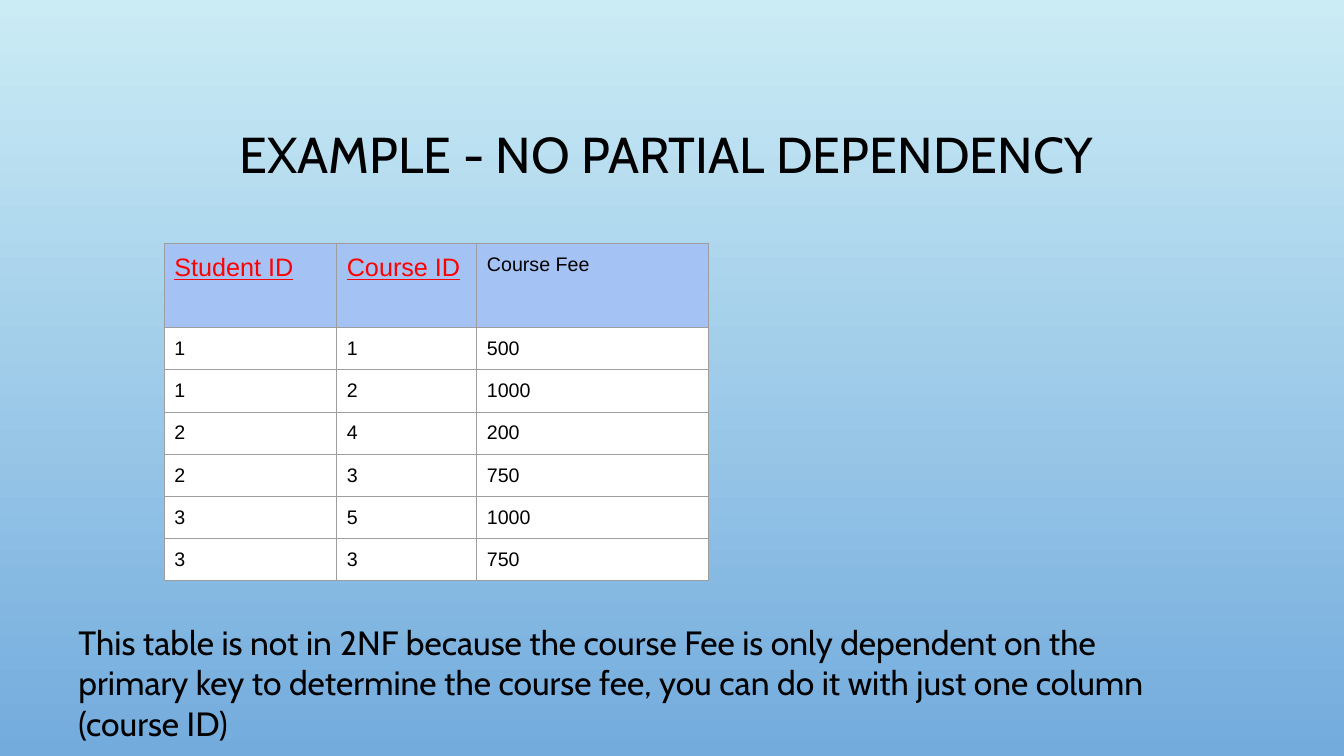
import pptx
import pptx.util
import pptx.dml.color
import pptx.enum.text
import pptx.oxml
import pptx.oxml.ns

Inches, Pt = pptx.util.Inches, pptx.util.Pt
WIDTH, HEIGHT = 13.33, 7.5
COLORS = {
    "sky": "CBECF5", "sea": "73ABDD", "ink": "000000", "key": "FF0000",
    "head": "A4C2F4", "cell": "FFFFFF", "rule": "9E9E9E",
}
HEADS = ["Student ID", "Course ID", "Course Fee"]
KEYS = HEADS[:2]
ROWS = [(1, 1, 500), (1, 2, 1000), (2, 4, 200), (2, 3, 750), (3, 5, 1000), (3, 3, 750)]
COLS = [1.71, 1.39, 2.3]
HEAD, ROW, PAD = 0.83, 0.41, 0.1


def color(name):
    return pptx.dml.color.RGBColor.from_string(COLORS[name])


def write(frame, text, size, font="Cabin", ink="ink", line=False, align=None, space=None):
    frame.word_wrap = True
    par = frame.paragraphs[0]
    par.alignment, par.line_spacing = align, space
    run = par.add_run()
    run.text = text
    run.font.name, run.font.size, run.font.underline = font, Pt(size), line
    run.font.color.rgb = color(ink)


def paint(slide):
    fill = slide.background.fill
    fill.gradient()
    fill.gradient_angle = 270
    for stop, name in zip(fill.gradient_stops, ("sky", "sea")):
        stop.color.rgb = color(name)


def title(slide, box, text):
    shape = slide.shapes.title
    shape.left, shape.top, shape.width, shape.height = map(Inches, box)
    shape.text_frame.vertical_anchor = pptx.enum.text.MSO_ANCHOR.MIDDLE
    write(shape.text_frame, text, 36, align=pptx.enum.text.PP_ALIGN.CENTER, space=0.9)


def border(cell):
    props = cell._tc.get_or_add_tcPr()
    for place, side in enumerate(("lnL", "lnR", "lnT", "lnB")):
        props.insert(place, pptx.oxml.parse_xml(
            f'<a:{side} {pptx.oxml.ns.nsdecls("a")} w="{Pt(0.75)}"><a:solidFill>'
            f'<a:srgbClr val="{COLORS["rule"]}"/></a:solidFill></a:{side}>'))


def fees(slide, left, top):
    data = [HEADS, *ROWS]
    high = HEAD + ROW * len(ROWS)
    box = map(Inches, (left, top, sum(COLS), high))
    table = slide.shapes.add_table(len(data), len(COLS), *box).table
    table.first_row = table.horz_banding = False
    for col, wide in zip(table.columns, COLS):
        col.width = Inches(wide)
    for r, values in enumerate(data):
        table.rows[r].height = Inches(ROW if r else HEAD)
        for c, value in enumerate(values):
            cell = table.cell(r, c)
            cell.margin_left = cell.margin_right = Inches(PAD)
            cell.margin_top = cell.margin_bottom = Inches(PAD)
            cell.fill.solid()
            cell.fill.fore_color.rgb = color("cell" if r else "head")
            key = value in KEYS
            write(cell.text_frame, str(value), 18 if key else 14, font="Arial",
                  ink="key" if key else "ink", line=key)
            border(cell)


def note(slide, box, text):
    frame = slide.shapes.add_textbox(*map(Inches, box)).text_frame
    write(frame, text, 24)


def main():
    deck = pptx.Presentation()
    deck.slide_width, deck.slide_height = Inches(WIDTH), Inches(HEIGHT)
    slide = deck.slides.add_slide(deck.slide_layouts[5])
    paint(slide)
    title(slide, (1, 0.68, WIDTH - 2, 1.75), "EXAMPLE - NO PARTIAL DEPENDENCY ")
    fees(slide, 1.63, 2.42)
    note(slide, (0.68, 6.12, 11.02, 0.91),
         "This table is not in 2NF because the course Fee is only dependent on the "
         "primary key to determine the course fee, you can do it with just one column "
         "(course ID)")
    deck.save("out.pptx")


if __name__ == "__main__":
    main()
